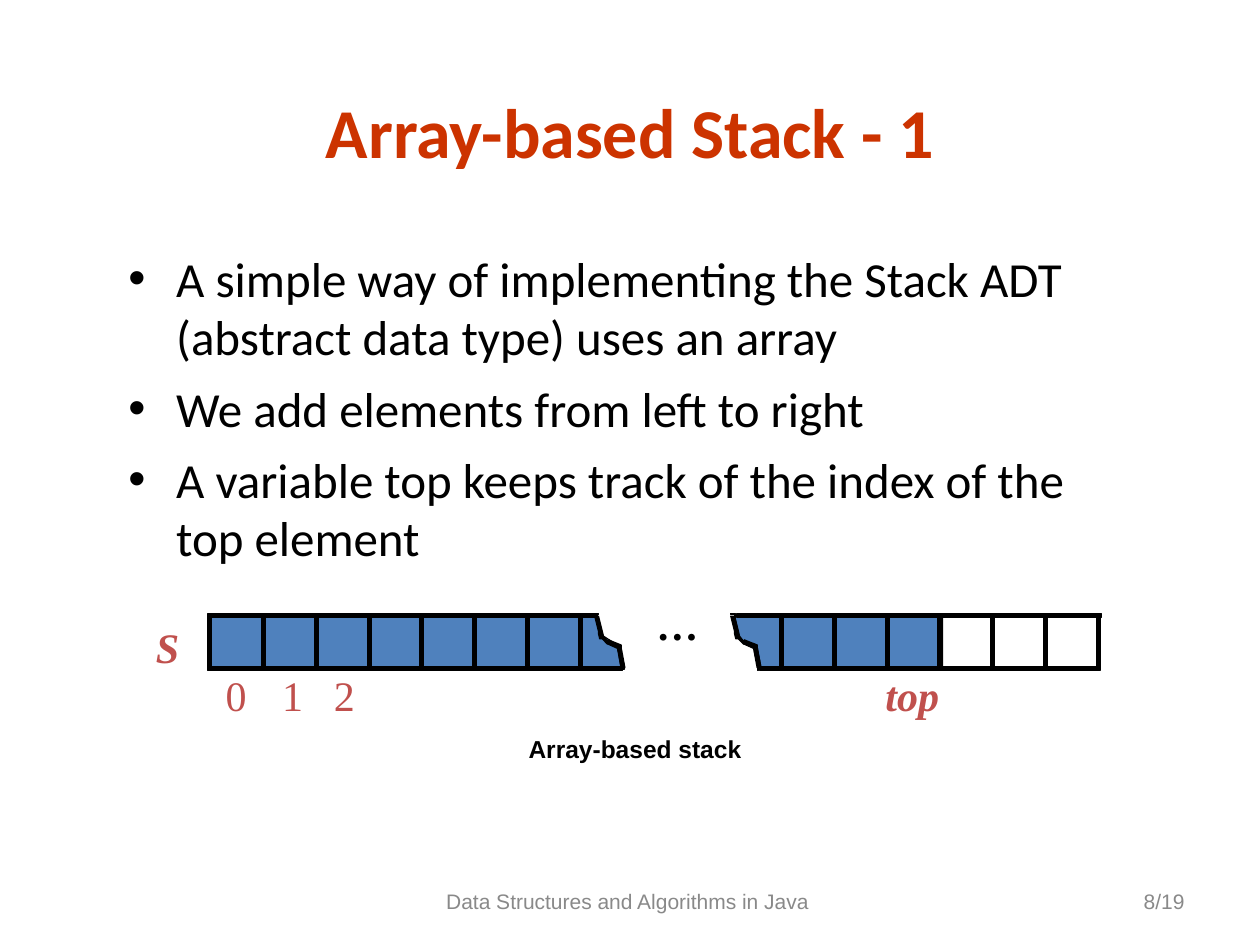
from pptx import Presentation
from pptx.dml.color import RGBColor
from pptx.enum.shapes import MSO_SHAPE
from pptx.enum.text import MSO_ANCHOR, PP_ALIGN
from pptx.oxml.ns import qn
from pptx.util import Emu, Pt
from lxml.etree import SubElement

PX = 9144
BLACK, BLUE, RED, GREY, ORANGE = "000000", "4F81BD", "C0504D", "898989", "CC3300"
LEFT, CENTER, RIGHT = PP_ALIGN.LEFT, PP_ALIGN.CENTER, PP_ALIGN.RIGHT
TOP, MIDDLE = MSO_ANCHOR.TOP, MSO_ANCHOR.MIDDLE
SERIF = "Times New Roman"


def px(n):
    return Emu(n * PX)


def color(value):
    return RGBColor.from_string(value)


class Deck:
    """Holds the style and the current slide, and adds each kind of element."""

    def __init__(self, width, height):
        self.prs = Presentation()
        self.prs.slide_width, self.prs.slide_height = px(width), px(height)
        self.s = self.prs.slides.add_slide(self.prs.slide_layouts[5])

    def run(self, p, text, size, font, fill, bold=False, italic=False):
        r = p.add_run()
        r.text = text
        f = r.font
        f.size, f.name, f.bold, f.italic = Pt(size), font, bold, italic
        f.color.rgb = color(fill)

    def title(self, x, y, w, h, text):
        sp = self.s.shapes.title
        sp.left, sp.top, sp.width, sp.height = map(px, (x, y, w, h))
        tf = sp.text_frame
        tf.vertical_anchor = MIDDLE
        p = tf.paragraphs[0]
        p.alignment = CENTER
        self.run(p, text, 40, "Calibri", ORANGE, bold=True)

    def box(self, x, y, w, h, inset=True, wrap=True, anchor=TOP):
        tf = self.s.shapes.add_textbox(*map(px, (x, y, w, h))).text_frame
        tf.word_wrap, tf.vertical_anchor = wrap, anchor
        if not inset:
            tf.margin_left = tf.margin_right = tf.margin_top = tf.margin_bottom = 0
        return tf

    def text(self, x, y, w, h, text, size, font, fill, align=CENTER,
             bold=False, italic=False, before=0, **frame):
        p = self.box(x, y, w, h, **frame).paragraphs[0]
        p.alignment, p.space_before = align, Pt(before)
        self.run(p, text, size, font, fill, bold, italic)

    def bullets(self, x, y, w, h, items):
        tf = self.box(x, y, w, h)
        for i, item in enumerate(items):
            p = tf.paragraphs[0] if i == 0 else tf.add_paragraph()
            p.space_before = Pt(7)
            pPr = p._p.get_or_add_pPr()
            pPr.set("marL", str(px(38)))
            pPr.set("indent", str(-px(38)))
            SubElement(pPr, qn("a:buFont")).set("typeface", "Arial")
            SubElement(pPr, qn("a:buChar")).set("char", "•")
            self.run(p, item, 28, "Calibri", BLACK)

    def paint(self, sp, fill):
        sp.shadow.inherit = False
        sp.fill.solid()
        sp.fill.fore_color.rgb = color(fill)
        sp.line.color.rgb = color(BLACK)
        sp.line.width = Pt(0.75)

    def bar(self, x, y, w, h):
        sp = self.s.shapes.add_shape(MSO_SHAPE.RECTANGLE, *map(px, (x, y, w, h)))
        self.paint(sp, BLACK)

    def outline(self, points, fill, dx=0):
        points = [(x + dx, y) for x, y in points]
        fb = self.s.shapes.build_freeform(*points[0], scale=PX)
        fb.add_line_segments(points[1:], close=True)
        self.paint(fb.convert_to_shape(), fill)

    def divider(self, x):
        for y, h in ((487, 1), (530, 1), (489, 41)):
            self.bar(x, y, 3, h)

    def torn_edge(self, dx):
        self.bar(472 + dx, 487, 3, 1)
        self.bar(493 + dx, 530, 3, 1)
        self.outline([(475, 489), (478, 501), (479, 505), (483, 510), (483, 508),
                      (482, 511), (478, 507), (476, 507), (475, 503), (475, 501),
                      (472, 489)], BLACK, dx)
        self.outline([(483, 508), (493, 512), (493, 514), (490, 514),
                      (491, 515), (482, 511)], BLACK, dx)
        self.outline([(493, 514), (490, 514), (493, 530), (496, 530)], BLACK, dx)


def main():
    d = Deck(1000, 750)
    d.text(317, 695, 367, 40, "Data Structures and Algorithms in Java ", 12, "Arial",
           GREY, anchor=MIDDLE)
    d.text(717, 695, 233, 40, "8/19", 12, "Arial", GREY, RIGHT, anchor=MIDDLE)
    d.title(50, 65, 900, 77, "Array-based Stack - 1")
    d.bullets(92, 192, 792, 263, [
        "A simple way of implementing the Stack ADT (abstract data type) uses an array",
        "We add elements from left to right",
        "A variable top keeps track of the index of the top element",
    ])

    d.outline([(748, 530), (748, 489), (583, 489), (587, 507), (601, 514),
               (604, 530)], BLUE)
    d.outline([(167, 489), (167, 530), (493, 530), (490, 512), (476, 503),
               (473, 489)], BLUE)
    for x, y, w in ((473, 487, 1), (165, 487, 308), (493, 529, 1), (167, 529, 326),
                    (583, 487, 1), (585, 487, 289), (601, 529, 1), (603, 529, 269)):
        d.bar(x, y, w, 3)
    for x in (165, 870):
        d.bar(x, 489, 3, 43)
    for start, count in ((208, 7), (619, 6)):
        for i in range(count):
            d.divider(start + round(i * 41.8))
    for dx in (0, 108):
        d.torn_edge(dx)

    for x, y, w, name in ((117, 493, 32, "S"), (692, 531, 64, "top")):
        d.text(x, y, w, 40, name, 24, SERIF, RED, bold=True, italic=True, inset=False)
    for index, x in enumerate((179, 224, 265)):
        d.text(x, 531, 17, 40, str(index), 24, SERIF, RED, LEFT, inset=False, wrap=False)
    d.text(521, 475, 33, 40, "…", 24, SERIF, BLACK, LEFT, bold=True,
           inset=False, wrap=False)
    d.text(350, 578, 308, 34, "Array-based stack", 14, "Arial", BLACK, bold=True,
           before=8.8)
    d.prs.save("out.pptx")


if __name__ == "__main__":
    main()
